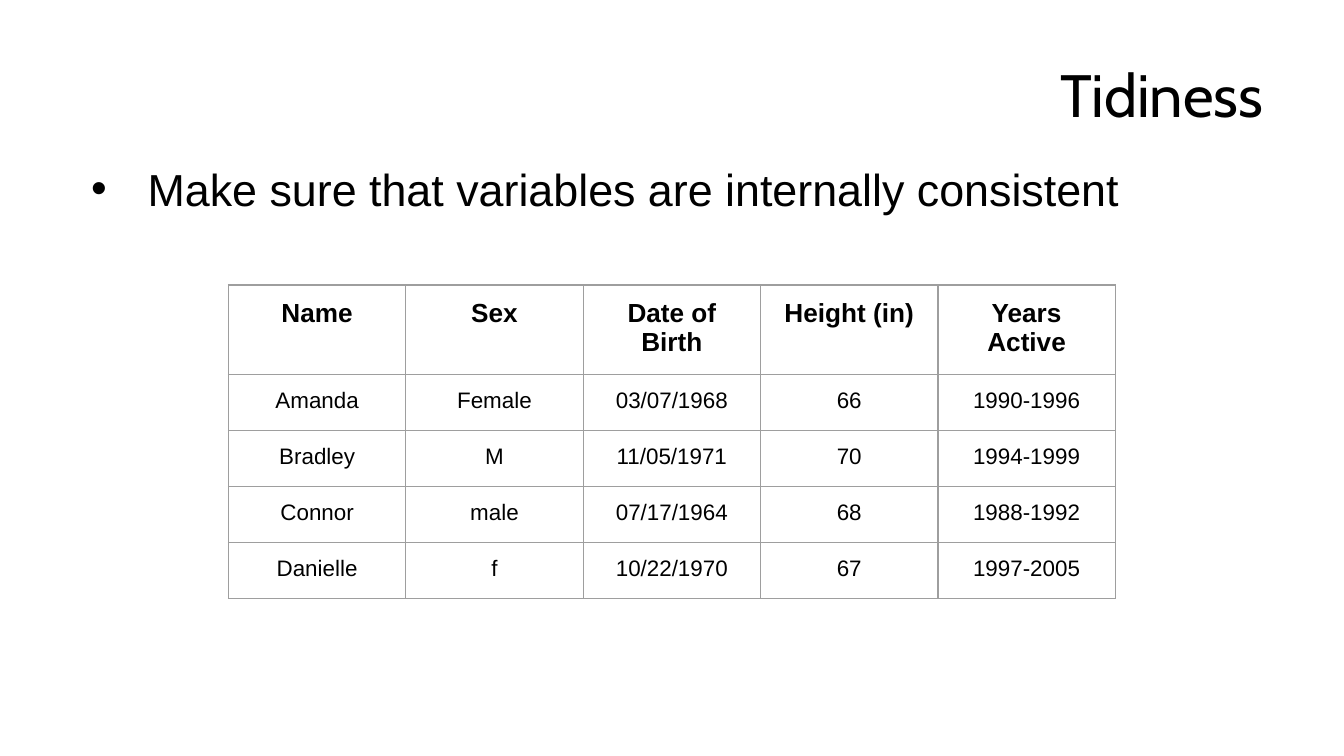
from lxml import etree
from pptx import Presentation
from pptx import util as u
from pptx.dml import color
from pptx.enum import text
from pptx.oxml import ns

HEADINGS = ["Name", "Sex", "Date of Birth", "Height (in)", "Years Active"]
PEOPLE = [
    ["Amanda", "Female", "03/07/1968", "66", "1990-1996"],
    ["Bradley", "M", "11/05/1971", "70", "1994-1999"],
    ["Connor", "male", "07/17/1964", "68", "1988-1992"],
    ["Danielle", "f", "10/22/1970", "67", "1997-2005"],
]
INSET = u.Inches(0.1)


def rgb(value):
    """Turn a hex string into a colour."""
    return color.RGBColor.from_string(value)


def add_element(parent, tag, **attributes):
    """Append a DrawingML element to its parent."""
    return etree.SubElement(parent, ns.qn(tag), attributes)


def write(frame, words, size, font="Arial", bold=False, align="LEFT", bullet=None):
    """Write one formatted paragraph into a text frame."""
    frame.word_wrap = True
    paragraph = frame.paragraphs[0]
    paragraph.alignment = getattr(text.PP_ALIGN, align)
    if bullet:
        properties = paragraph._p.get_or_add_pPr()
        properties.set("marL", str(u.Inches(0.5)))
        properties.set("indent", str(u.Inches(-0.42)))
        add_element(properties, "a:buFont", typeface="Arial")
        add_element(properties, "a:buChar", char=bullet)
    run = paragraph.add_run()
    run.text = words
    run.font.name = font
    run.font.size = u.Pt(size)
    run.font.bold = bold
    run.font.color.rgb = rgb("000000")


def set_insets(holder):
    """Give a text frame or a cell equal margins."""
    holder.margin_left = holder.margin_right = INSET
    holder.margin_top = holder.margin_bottom = INSET


def add_statement(slide, box, words, anchor="TOP", **style):
    """Place a text box holding one statement."""
    frame = slide.shapes.add_textbox(*map(u.Inches, box)).text_frame
    set_insets(frame)
    frame.vertical_anchor = getattr(text.MSO_ANCHOR, anchor)
    write(frame, words, **style)


def set_borders(cell, value, width):
    """Draw a solid line on all four sides of a cell."""
    properties = cell._tc.get_or_add_tcPr()
    for side in "LRTB":
        line = add_element(properties, f"a:ln{side}", w=str(u.Pt(width)))
        add_element(add_element(line, "a:solidFill"), "a:srgbClr", val=value)


def add_people_table(slide, box):
    """Place the table of people with equal columns and rows."""
    rows = [HEADINGS] + PEOPLE
    table = slide.shapes.add_table(
        len(rows), len(HEADINGS), *map(u.Inches, box)).table
    table.first_row = table.horz_banding = False
    for r, values in enumerate(rows):
        heading = r == 0
        table.rows[r].height = u.Pt(30)
        for c, value in enumerate(values):
            cell = table.cell(r, c)
            set_insets(cell)
            set_borders(cell, "9E9E9E", 0.75)
            cell.fill.background()
            write(cell.text_frame, value, 14 if heading else 12,
                  bold=heading, align="CENTER")


def main():
    """Build the slide and save it."""
    deck = Presentation()
    deck.slide_width, deck.slide_height = u.Inches(10), u.Inches(10 * 9 / 16)
    slide = deck.slides.add_slide(deck.slide_layouts[6])
    add_statement(slide, (0.5, 0.23, 9, 0.94), "Tidiness", anchor="MIDDLE",
                  size=32, font="Cabin", align="RIGHT")
    add_statement(slide, (0.5, 1.1, 9, 3.71),
                  "Make sure that variables are internally consistent",
                  size=24, bullet="•")
    add_people_table(slide, (1.7, 2.12, 6.6, 2.08))
    deck.save("out.pptx")


if __name__ == "__main__":
    main()
